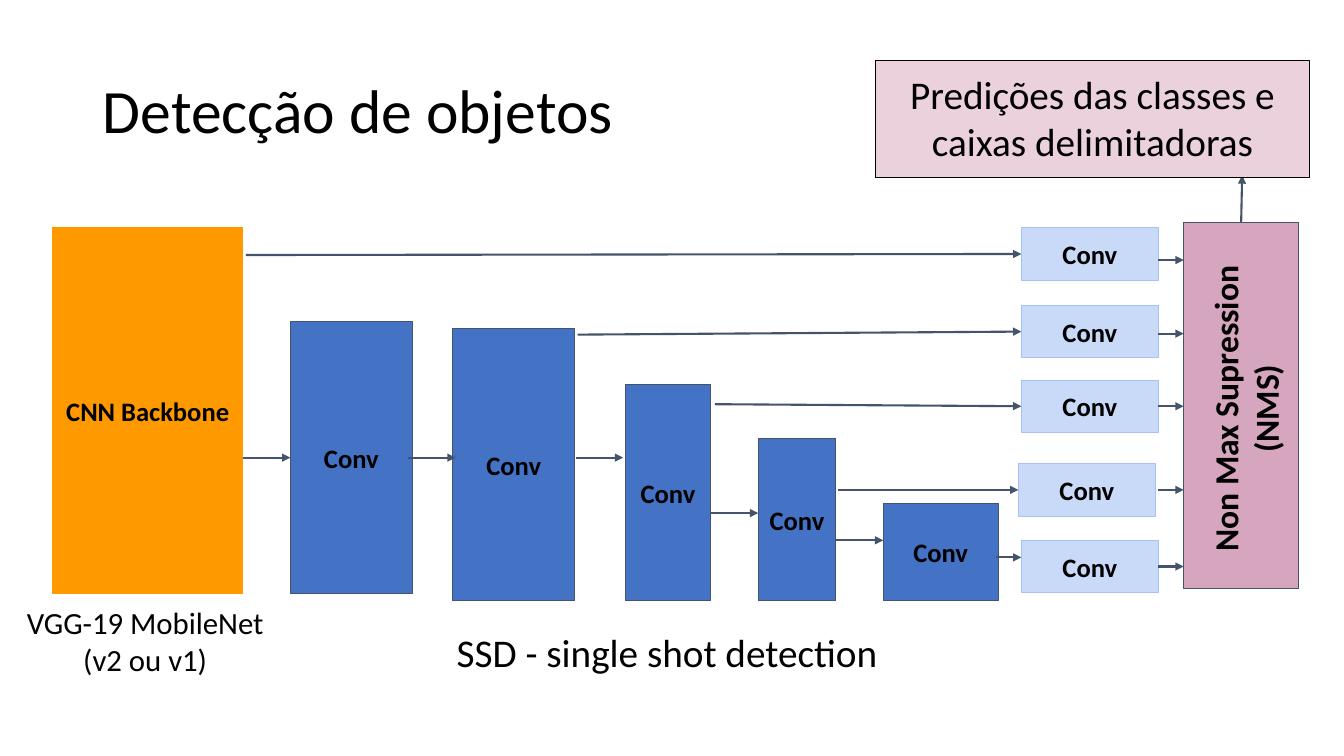
from lxml import etree
from pptx import Presentation
from pptx.dml.color import RGBColor
from pptx.enum.shapes import MSO_CONNECTOR, MSO_SHAPE
from pptx.enum.text import MSO_ANCHOR, PP_ALIGN
from pptx.oxml.ns import qn
from pptx.util import Emu, Pt

FONT = "Calibri"
BLACK, SLATE = "000000", "44546A"
ORANGE, BLUE = "FF9900", "4472C4"
PALE_BLUE, SKY = "C9DAF8", "A4C2F4"
MAUVE, PINK = "D5A6BD", "EAD1DC"


def px(value):
    """100 px to the inch."""
    return Emu(value * 9144)


def color(hex_code):
    return RGBColor.from_string(hex_code)


def write(shape, text, size, bold=False, align=PP_ALIGN.CENTER,
          anchor=MSO_ANCHOR.TOP, spacing=None, inset_y=10):
    frame = shape.text_frame
    frame.text = text
    frame.word_wrap = True
    frame.vertical_anchor = anchor
    frame.margin_left = frame.margin_right = px(10)
    frame.margin_top = frame.margin_bottom = px(inset_y)
    para = frame.paragraphs[0]
    para.alignment = align
    if spacing:
        para.line_spacing = spacing
    font = para.runs[0].font
    font.name, font.size, font.bold = FONT, Pt(size), bold
    font.color.rgb = color(BLACK)


def add_box(page, place, fill, line=None):
    box = page.shapes.add_shape(MSO_SHAPE.RECTANGLE, *map(px, place))
    box.shadow.inherit = False
    box.fill.solid()
    box.fill.fore_color.rgb = color(fill)
    if line:
        box.line.color.rgb = color(line)
        box.line.width = Pt(0.75)
    else:
        box.line.fill.background()
    return box


def add_layer(page, place, fill, line, text="Conv"):
    box = add_box(page, place, fill, line)
    write(box, text, 19, bold=True, anchor=MSO_ANCHOR.MIDDLE)


def add_label(page, place, text, size, **style):
    write(page.shapes.add_textbox(*map(px, place)), text, size, **style)


def add_arrow(page, x1, y1, x2, y2):
    arrow = page.shapes.add_connector(
        MSO_CONNECTOR.STRAIGHT, px(x1), px(y1), px(x2), px(y2))
    arrow.line.color.rgb = color(SLATE)
    arrow.line.width = Pt(1.5)
    etree.SubElement(arrow.line._get_or_add_ln(), qn("a:tailEnd"), type="triangle")
    etree.SubElement(arrow._element.spPr, qn("a:effectLst"))


def main():
    deck = Presentation()
    deck.slide_width, deck.slide_height = px(1333), px(750)
    page = deck.slides.add_slide(deck.slide_layouts[5])

    # Title
    title = page.shapes.title
    title.left, title.top, title.width, title.height = map(px, (92, 40, 1150, 145))
    write(title, "Detecção de objetos", 44, align=PP_ALIGN.LEFT,
          anchor=MSO_ANCHOR.MIDDLE, spacing=0.9, inset_y=5)

    # Backbone and the shrinking convolution layers
    add_layer(page, (52, 226, 189, 363), ORANGE, ORANGE, "CNN Backbone")
    for place in [(288, 319, 121, 270), (449, 326, 121, 270), (620, 381, 85, 215),
                  (752, 435, 77, 161), (876, 500, 114, 96)]:
        add_layer(page, place, BLUE, SLATE)
    for x, y in [(241, 454), (405, 454), (571, 454), (705, 509), (829, 536)]:
        add_arrow(page, x, y, x + 47, y)

    # Detection heads: head left, head top, arrow start x, y, arrow end y, exit y
    heads = [(1013, 226, 244, 253, 252, 258), (1013, 303, 573, 332, 329, 331),
             (1013, 377, 709, 401, 403, 403), (1010, 460, 831, 486, 486, 486),
             (1013, 536, 988, 553, 553, 562)]
    for left, top, start_x, start_y, end_y, exit_y in heads:
        add_layer(page, (left, top, 136, 52), PALE_BLUE, SKY)
        add_arrow(page, start_x, start_y, left, end_y)
        add_arrow(page, 1149, exit_y, 1174, exit_y)

    # Suppression column with upward text
    add_box(page, (1174, 221, 114, 363), MAUVE, SLATE)
    suppression = add_box(page, (1055, 361, 349, 89), MAUVE)
    suppression.rotation = 270
    write(suppression, "Non Max Supression (NMS)", 24, bold=True)

    # Predictions
    add_arrow(page, 1231, 221, 1232, 174)
    predictions = add_box(page, (868, 60, 431, 116), PINK, BLACK)
    write(predictions, "Predições das classes e caixas delimitadoras", 28)

    # Captions
    add_label(page, (443, 619, 447, 66), "SSD - single shot detection", 28,
              align=PP_ALIGN.LEFT, spacing=0.9)
    add_label(page, (0, 589, 288, 77), "VGG-19 MobileNet (v2 ou v1)", 22)

    deck.save("out.pptx")


if __name__ == "__main__":
    main()
